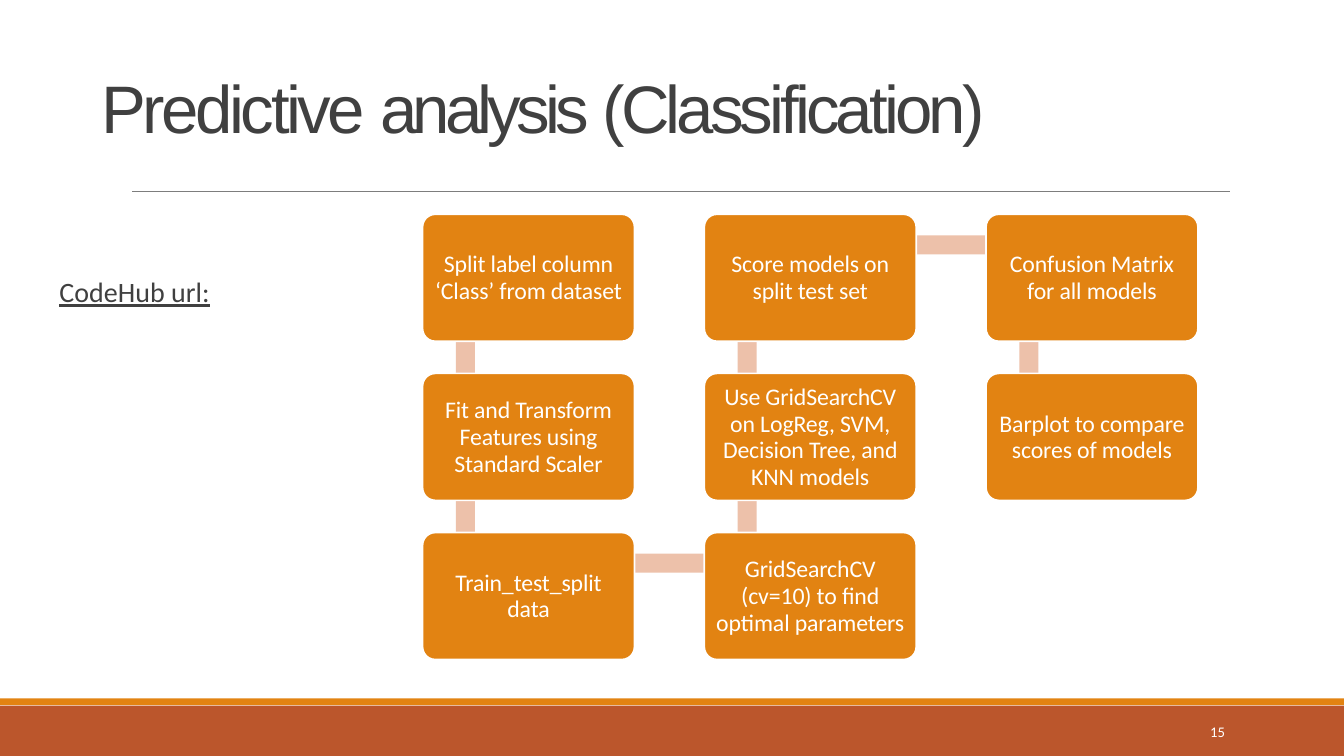
from dataclasses import dataclass

from pptx import Presentation
from pptx.dml.color import RGBColor
from pptx.enum.shapes import MSO_CONNECTOR, MSO_SHAPE
from pptx.enum.text import MSO_ANCHOR, PP_ALIGN
from pptx.oxml.ns import qn
from pptx.util import Cm, Pt
from lxml import etree

RECTANGLE = MSO_SHAPE.RECTANGLE
ROUNDED = MSO_SHAPE.ROUNDED_RECTANGLE
STRAIGHT = MSO_CONNECTOR.STRAIGHT
LEFT, CENTER = PP_ALIGN.LEFT, PP_ALIGN.CENTER
TOP, MIDDLE = MSO_ANCHOR.TOP, MSO_ANCHOR.MIDDLE


@dataclass(frozen=True)
class Theme:
    dark: str = "404040"
    white: str = "FFFFFF"
    rule: str = "7D7D7D"
    orange: str = "E28312"
    rust: str = "BB562C"
    link: str = "EDC1AA"
    title_font: str = "Arial"
    body_font: str = "Calibri"
    title_size: float = 48
    label_size: float = 20
    step_size: float = 17
    number_size: float = 10.5


THEME = Theme()
SLIDE_WIDTH, SLIDE_HEIGHT = 33.87, 19.05

# Step grid, in centimetres
GRID_LEFT, GRID_TOP = 10.65, 5.4
COLUMN_PITCH, ROW_PITCH = 7.1, 4.01
STEP_WIDTH, STEP_HEIGHT = 5.34, 3.2
LINK_THICKNESS = 0.48

# Column, row and wording of each step, in order
STEPS = [
    (0, 0, "Split label column\v‘Class’ from dataset"),
    (0, 1, "Fit and Transform\vFeatures using\vStandard Scaler"),
    (0, 2, "Train_test_split\vdata"),
    (1, 2, "GridSearchCV\v(cv=10) to find\voptimal parameters"),
    (1, 1, "Use GridSearchCV\von LogReg, SVM,\vDecision Tree, and\vKNN models"),
    (1, 0, "Score models on\vsplit test set"),
    (2, 0, "Confusion Matrix\vfor all models"),
    (2, 1, "Barplot to compare\vscores of models"),
]


def rgb(value):
    return RGBColor.from_string(value)


def write_text(shape, pieces, *, size, color, font=THEME.body_font, align=LEFT,
               anchor=TOP, underline=False, line_points=None):
    """Fill a shape with one paragraph; pieces are (text, letter spacing in points)."""
    frame = shape.text_frame
    frame.word_wrap = True
    frame.vertical_anchor = anchor
    frame.margin_left = frame.margin_right = frame.margin_top = frame.margin_bottom = 0
    paragraph = frame.paragraphs[0]
    paragraph.alignment = align
    if line_points:
        paragraph.line_spacing = Pt(line_points)
    for text, spacing in pieces:
        for index, line in enumerate(text.split("\v")):
            if index:
                paragraph.add_line_break()
            run = paragraph.add_run()
            run.text = line
            run.font.name = font
            run.font.size = Pt(size)
            run.font.color.rgb = rgb(color)
            run.font.underline = underline
            run.font._element.set("spc", str(round(spacing * 100)))


def add_text(slide, left, top, width, height, pieces, **text_format):
    box = slide.shapes.add_textbox(Cm(left), Cm(top), Cm(width), Cm(height))
    write_text(box, pieces, **text_format)


def add_block(slide, kind, left, top, width, height, color):
    block = slide.shapes.add_shape(kind, Cm(left), Cm(top), Cm(width), Cm(height))
    block.shadow.inherit = False
    block.fill.solid()
    block.fill.fore_color.rgb = rgb(color)
    block.line.fill.background()
    return block


def add_rule(slide, left, right, top):
    rule = slide.shapes.add_connector(STRAIGHT, Cm(left), Cm(top), Cm(right), Cm(top))
    rule.line.color.rgb = rgb(THEME.rule)
    rule.line.width = Pt(0.5)
    etree.SubElement(rule._element.spPr, qn("a:effectLst"))


def step_corner(column, row):
    return GRID_LEFT + column * COLUMN_PITCH, GRID_TOP + row * ROW_PITCH


def add_link(slide, start, end):
    """Join two neighbouring steps with a bar that runs behind both."""
    left, top = step_corner(min(start[0], end[0]), min(start[1], end[1]))
    if start[0] == end[0]:
        bar = left + 0.84, top + 0.8, LINK_THICKNESS, ROW_PITCH
    else:
        bar = left + 1.09, top + 0.53, COLUMN_PITCH, LINK_THICKNESS
    add_block(slide, RECTANGLE, *bar, THEME.link)


def add_step(slide, column, row, text):
    left, top = step_corner(column, row)
    step = add_block(slide, ROUNDED, left, top, STEP_WIDTH, STEP_HEIGHT, THEME.orange)
    step.adjustments[0] = 0.1
    step.line.color.rgb = rgb(THEME.white)
    step.line.width = Pt(1.2)
    write_text(step, [(text, -0.1)], size=THEME.step_size, color=THEME.white,
               align=CENTER, anchor=MIDDLE, line_points=19)


def main():
    presentation = Presentation()
    presentation.slide_width = Cm(SLIDE_WIDTH)
    presentation.slide_height = Cm(SLIDE_HEIGHT)
    slide = presentation.slides.add_slide(presentation.slide_layouts[6])

    add_block(slide, RECTANGLE, 0, 17.78, SLIDE_WIDTH, 1.27, THEME.rust)
    add_block(slide, RECTANGLE, 0, 17.6, SLIDE_WIDTH, 0.17, THEME.orange)
    add_rule(slide, 3.33, 31, 4.82)

    add_text(slide, 2.56, 1.66, 26, 2.8,
             [("Predictive ", -2.5), ("analysis ", -3.5), ("(Classification)", -2.8)],
             size=THEME.title_size, color=THEME.dark, font=THEME.title_font)
    add_text(slide, 1.5, 6.92, 8.5, 1.2, [("CodeHub url:", 0)],
             size=THEME.label_size, color=THEME.dark, underline=True)

    for start, end in zip(STEPS, STEPS[1:]):
        add_link(slide, start, end)
    for column, row, text in STEPS:
        add_step(slide, column, row, text)

    add_text(slide, 30.5, 18.15, 0.8, 0.55, [("15", 0)],
             size=THEME.number_size, color=THEME.white, anchor=MIDDLE)
    presentation.save("out.pptx")


if __name__ == "__main__":
    main()
